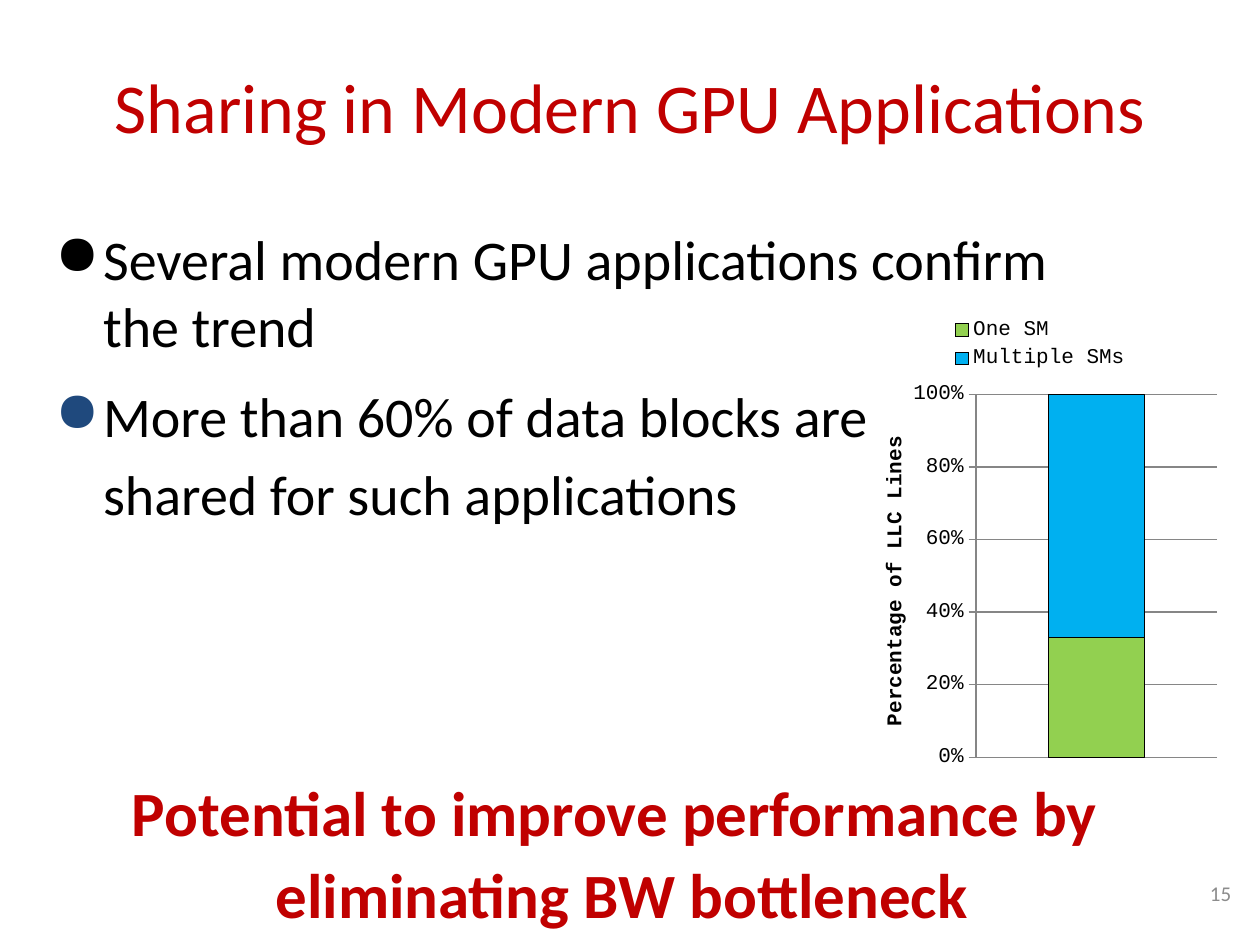
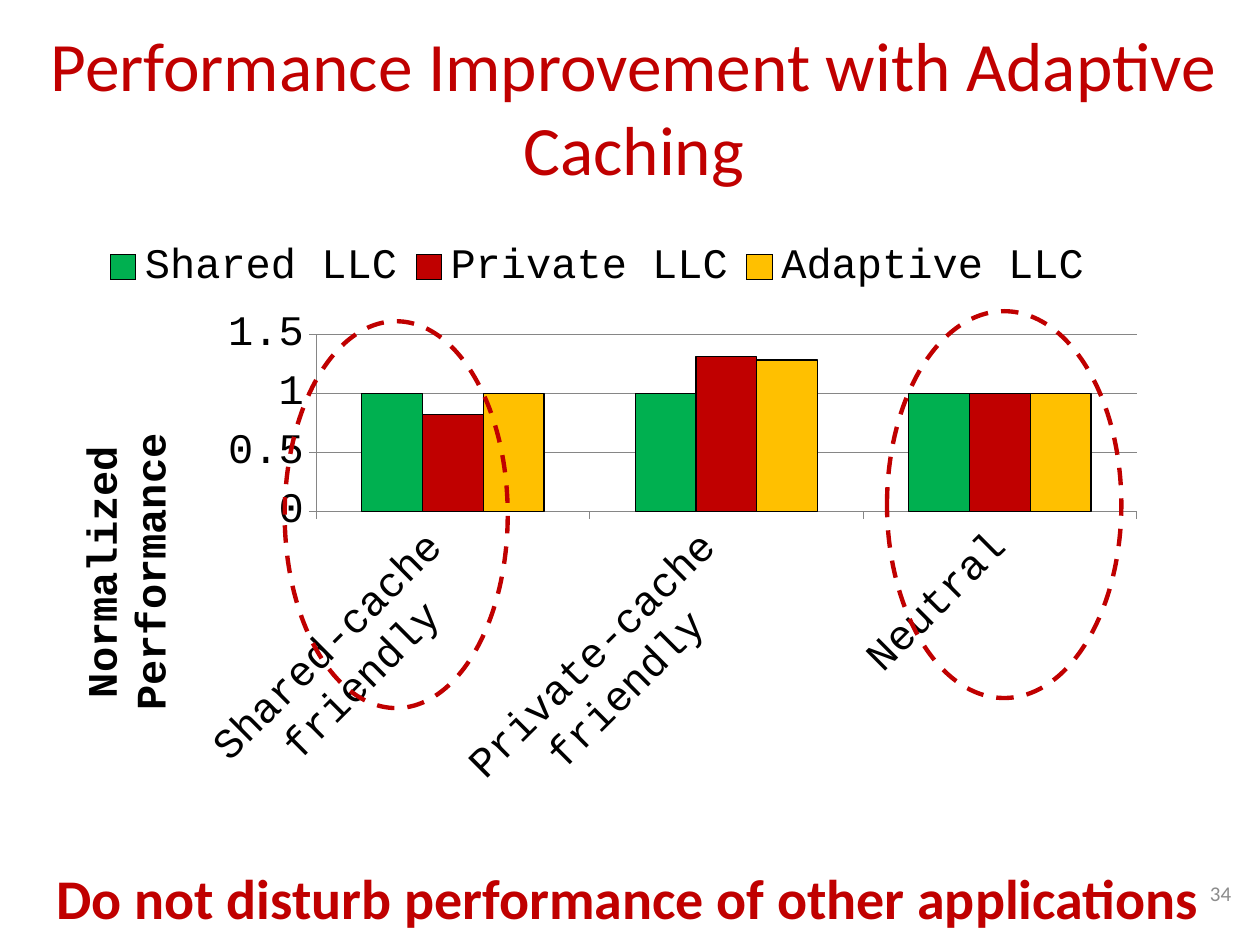
"""Build two slides on data sharing and adaptive caching in GPU applications."""
import pptx
import pptx.chart.data
import pptx.dml.color
import pptx.enum.chart
import pptx.enum.dml
import pptx.enum.shapes
import pptx.enum.text
import pptx.oxml
import pptx.oxml.ns
import pptx.util

COLUMNS, ROWS = 100, 75
CELL = pptx.util.Inches(0.1)
RED, BLACK, GREY, GRID, NAVY = "C00000", "000000", "8C8C8C", "868686", "1F497D"
ALIGN = pptx.enum.text.PP_ALIGN
qn = pptx.oxml.ns.qn


def color(target, value):
    target.rgb = pptx.dml.color.RGBColor.from_string(value)


def add_text(page, place, lines, size=32, ink=BLACK, bold=False, align=ALIGN.LEFT,
             middle=False, inset=1, after=0, spacing=None, bullet=None):
    box = page.shapes.add_textbox(*[int(n * CELL) for n in place])
    frame = box.text_frame
    frame.word_wrap = True
    frame.margin_left = frame.margin_right = CELL
    frame.margin_top = frame.margin_bottom = int(inset * CELL)
    anchor = pptx.enum.text.MSO_ANCHOR
    frame.vertical_anchor = anchor.MIDDLE if middle else anchor.TOP
    for number, line in enumerate(lines):
        para = frame.add_paragraph() if number else frame.paragraphs[0]
        para.alignment = align
        para.space_after = pptx.util.Pt(after)
        if spacing:
            para.line_spacing = spacing
        if bullet:
            indent = int(3.8 * CELL)
            properties = para._p.get_or_add_pPr()
            properties.set("marL", str(indent))
            properties.set("indent", str(-indent))
            names = pptx.oxml.ns.nsdecls("a")
            properties.append(pptx.oxml.parse_xml(
                f'<a:buClr {names}><a:srgbClr val="{bullet}"/></a:buClr>'))
            properties.append(pptx.oxml.parse_xml(f'<a:buChar {names} char="●"/>'))
        span = para.add_run()
        span.text = line
        span.font.name = "Calibri"
        span.font.size = pptx.util.Pt(size)
        span.font.bold = bold
        color(span.font.color, ink)


deck = pptx.Presentation()
deck.slide_width, deck.slide_height = COLUMNS * CELL, ROWS * CELL
sharing, improvement = [deck.slides.add_slide(deck.slide_layouts[6]) for _ in range(2)]

chart_types = pptx.enum.chart.XL_CHART_TYPE
chart_plans = [
    dict(page=sharing, place=(67.3, 24.1, 29.9, 37.9), kind=chart_types.COLUMN_STACKED,
         size=12, overlap=100, categories=["1"], title="Percentage of LLC Lines",
         top=1, step=0.2, number_format="0%", show_categories=False,
         series=[("One SM", [0.33], "92D050"), ("Multiple SMs", [0.67], "00B0F0")],
         plot_share=(0.34, 0.19, 0.64, 0.76), legend_share=(0.27, 0.02, 0.48, 0.13),
         title_share=(0.08, 0.27)),
    dict(page=improvement, place=(2.8, 17.8, 89.2, 48.5), kind=chart_types.COLUMN_CLUSTERED,
         size=24, overlap=0, title="Normalized Performance",
         categories=["Shared-cache\nfriendly", "Private-cache\nfriendly", "Neutral"],
         top=1.5, step=0.5, number_format="General", show_categories=True,
         series=[("Shared LLC", [1, 1, 1], "00B050"),
                 ("Private LLC", [0.82, 1.31, 1], "C00000"),
                 ("Adaptive LLC", [1, 1.28, 1], "FFC000")],
         plot_share=(0.25, 0.18, 0.73, 0.29), legend_share=(0.05, 0.03, 0.9, 0.08),
         title_share=(0.03, 0.33)),
]

for plan in chart_plans:
    data = pptx.chart.data.CategoryChartData()
    data.categories = plan["categories"]
    for name, values, _ in plan["series"]:
        data.add_series(name, values)
    place = [int(n * CELL) for n in plan["place"]]
    chart = plan["page"].shapes.add_chart(plan["kind"], *place, data).chart
    chart.has_title = False
    chart.font.name = "Courier New"
    chart.font.size = pptx.util.Pt(plan["size"])
    color(chart.font.color, BLACK)

    plot = chart.plots[0]
    plot.gap_width, plot.overlap, plot.vary_by_categories = 150, plan["overlap"], False
    for series, (_, _, fill) in zip(plot.series, plan["series"]):
        series.format.fill.solid()
        color(series.format.fill.fore_color, fill)
        series.format.line.width = pptx.util.Pt(0.75)
        color(series.format.line.color, BLACK)

    scale, groups = chart.value_axis, chart.category_axis
    scale.minimum_scale, scale.maximum_scale = 0, plan["top"]
    scale.major_unit = plan["step"]
    scale.has_major_gridlines = True
    scale.tick_labels.number_format = plan["number_format"]
    scale.tick_labels.number_format_is_linked = False
    groups.visible = plan["show_categories"]
    for axis in (scale, groups):
        axis.major_tick_mark = pptx.enum.chart.XL_TICK_MARK.OUTSIDE
        axis.minor_tick_mark = pptx.enum.chart.XL_TICK_MARK.NONE
    for line in (scale.format.line, groups.format.line, scale.major_gridlines.format.line):
        line.width = pptx.util.Pt(0.75)
        color(line.color, GRID)
    groups.tick_labels.font.size = pptx.util.Pt(plan["size"])
    groups._element.find(qn("c:txPr")).find(qn("a:bodyPr")).set("rot", "-2700000")

    frame = scale.axis_title.text_frame
    frame.text = plan["title"]
    frame._txBody.find(qn("a:bodyPr")).set("rot", "-5400000")
    font = frame.paragraphs[0].runs[0].font
    font.name, font.size, font.bold = "Courier New", pptx.util.Pt(plan["size"]), True
    color(font.color, BLACK)

    chart.has_legend = True
    chart.legend.position = pptx.enum.chart.XL_LEGEND_POSITION.TOP
    chart.legend.include_in_layout = False

    plot_area = chart._chartSpace.chart.plotArea
    for part, share, index in [(plot_area, plan["plot_share"], 0),
                               (chart.legend._element, plan["legend_share"], 1),
                               (scale.axis_title._element, plan["title_share"], 1)]:
        previous = part.find(qn("c:layout"))
        if previous is not None:
            part.remove(previous)
        inner = '<c:layoutTarget val="inner"/>' if part is plot_area else ""
        modes = '<c:xMode val="edge"/><c:yMode val="edge"/>'
        sizes = "".join(f'<c:{key} val="{value}"/>' for key, value in zip("xywh", share))
        part.insert(index, pptx.oxml.parse_xml(
            f'<c:layout {pptx.oxml.ns.nsdecls("c")}><c:manualLayout>'
            f'{inner}{modes}{sizes}</c:manualLayout></c:layout>'))

for page, title, left, width, size, number in [
        (sharing, "Sharing in Modern GPU Applications", 3.4, 93.2, 40, "15"),
        (improvement, "Performance Improvement with Adaptive Caching", 2, 96.6, 39.6, "34")]:
    add_text(page, (left, 4.2, width, 8.4), [title], size=size, ink=RED,
             align=ALIGN.CENTER, middle=True, inset=0.5)
    add_text(page, (92.7, 68, 6, 5.7), [number], size=12, ink=GREY,
             align=ALIGN.RIGHT, middle=True)

add_text(sharing, (3.4, 16.8, 84, 11.9),
         ["Several modern GPU applications confirm the trend"], after=16, bullet=BLACK)
add_text(sharing, (3.4, 28.5, 69, 24.1),
         ["More than 60% of data blocks are shared for such applications"],
         after=16, spacing=1.15, bullet=NAVY)
add_text(sharing, (-1.3, 60.8, 101.3, 13.7),
         ["Potential to improve performance by ", "eliminating BW bottleneck"],
         size=36, ink=RED, bold=True, align=ALIGN.CENTER, middle=True, inset=0.5, after=4)
add_text(improvement, (0, 67.5, 99.7, 6.7),
         ["Do not disturb performance of other applications"],
         ink=RED, bold=True, align=ALIGN.CENTER)

for place in [(22.6, 25.5, 17.7, 30.7), (70.4, 24.7, 18.6, 30.7)]:
    highlight = improvement.shapes.add_shape(
        pptx.enum.shapes.MSO_SHAPE.OVAL, *[int(n * CELL) for n in place])
    highlight.shadow.inherit = False
    highlight.fill.background()
    highlight.line.width = pptx.util.Pt(2.5)
    highlight.line.dash_style = pptx.enum.dml.MSO_LINE.DASH
    color(highlight.line.color, RED)

deck.save("out.pptx")
